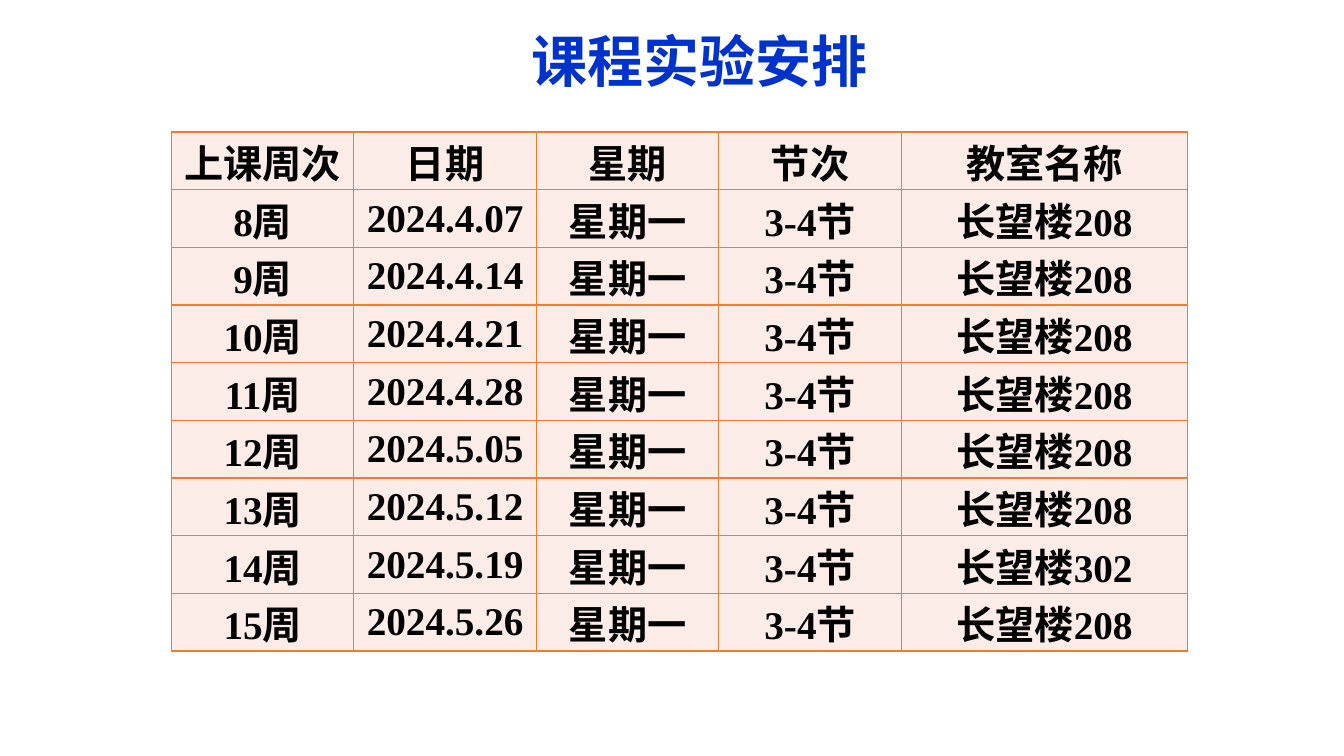
from dataclasses import dataclass

from lxml.etree import SubElement
from pptx import Presentation
from pptx.dml.color import RGBColor
from pptx.enum.text import MSO_ANCHOR, MSO_AUTO_SIZE, PP_ALIGN
from pptx.oxml.ns import qn
from pptx.slide import Slide
from pptx.table import _Cell
from pptx.text.text import _Paragraph
from pptx.util import Inches, Pt


@dataclass(frozen=True)
class TextStyle:
    font: str
    size: int
    color: str


@dataclass(frozen=True)
class Theme:
    title: TextStyle = TextStyle("DejaVu Sans", 40, "0033CC")
    body: TextStyle = TextStyle("Times New Roman", 28, "000000")
    cell_fill: str = "FCECE8"
    border: str = "ED7D31"
    border_width: int = 1


@dataclass(frozen=True)
class Session:
    week: int
    date: str
    room: int = 208

    def texts(self) -> tuple[str, ...]:
        return (f"{self.week}周", f"2024.{self.date}", "星期一", "3-4节", f"长望楼{self.room}")


THEME = Theme()
HEADINGS = ("上课周次", "日期", "星期", "节次", "教室名称")
SESSIONS = (
    Session(8, "4.07"),
    Session(9, "4.14"),
    Session(10, "4.21"),
    Session(11, "4.28"),
    Session(12, "5.05"),
    Session(13, "5.12"),
    Session(14, "5.19", room=302),
    Session(15, "5.26"),
)
COLUMN_WIDTHS = (1.81, 1.81, 1.81, 1.81, 2.84)
ROW_HEIGHT = 0.55


def write(para: _Paragraph, text: str, style: TextStyle) -> None:
    para.add_run().text = text
    para.alignment = PP_ALIGN.CENTER
    para.font.name = style.font
    para.font.size = Pt(style.size)
    para.font.bold = True
    para.font.color.rgb = RGBColor.from_string(style.color)


def add_borders(cell: _Cell) -> None:
    properties = cell._tc.get_or_add_tcPr()
    for index, side in enumerate(("a:lnL", "a:lnR", "a:lnT", "a:lnB")):
        line = properties.makeelement(qn(side), {"w": str(Pt(THEME.border_width))})
        fill = SubElement(line, qn("a:solidFill"))
        SubElement(fill, qn("a:srgbClr"), val=THEME.border)
        properties.insert(index, line)


def fill_cell(cell: _Cell, text: str, anchor: MSO_ANCHOR) -> None:
    cell.margin_left = cell.margin_right = cell.margin_top = Inches(0.01)
    cell.margin_bottom = Inches(0)
    cell.vertical_anchor = anchor
    cell.fill.solid()
    cell.fill.fore_color.rgb = RGBColor.from_string(THEME.cell_fill)
    add_borders(cell)
    write(cell.text_frame.paragraphs[0], text, THEME.body)


def add_schedule(page: Slide) -> None:
    rows = (HEADINGS, *(session.texts() for session in SESSIONS))
    table = page.shapes.add_table(
        len(rows), len(HEADINGS), Inches(1.7), Inches(1.31),
        Inches(sum(COLUMN_WIDTHS)), Inches(ROW_HEIGHT * len(rows)),
    ).table
    for column, width in zip(table.columns, COLUMN_WIDTHS):
        column.width = Inches(width)
    for row_index, texts in enumerate(rows):
        table.rows[row_index].height = Inches(ROW_HEIGHT)
        anchor = MSO_ANCHOR.MIDDLE if row_index else MSO_ANCHOR.BOTTOM
        for column_index, text in enumerate(texts):
            fill_cell(table.cell(row_index, column_index), text, anchor)


def add_title(page: Slide) -> None:
    box = page.shapes.add_textbox(Inches(5.15), Inches(0.21), Inches(3.58), Inches(0.77))
    box.text_frame.word_wrap = False
    box.text_frame.auto_size = MSO_AUTO_SIZE.SHAPE_TO_FIT_TEXT
    write(box.text_frame.paragraphs[0], "课程实验安排", THEME.title)


def main() -> None:
    deck = Presentation()
    deck.slide_width = Inches(13.33)
    deck.slide_height = Inches(7.5)
    page = deck.slides.add_slide(deck.slide_layouts[6])
    add_schedule(page)
    add_title(page)
    deck.save("out.pptx")


if __name__ == "__main__":
    main()
